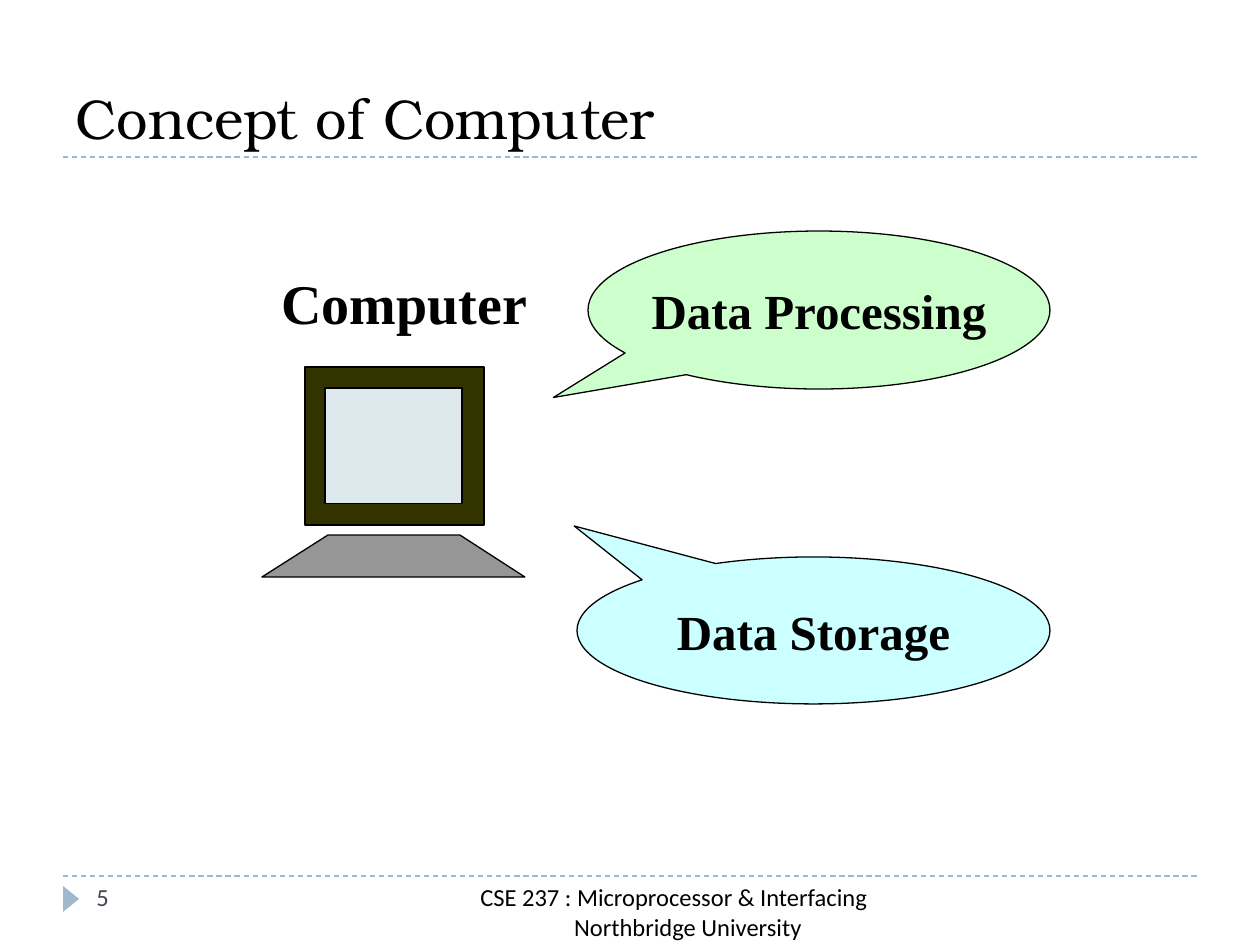
from pptx import Presentation, util as u
from pptx.dml.color import RGBColor
from pptx.enum import shapes, text
from pptx.enum.dml import MSO_LINE
from pptx.oxml.ns import qn
from lxml import etree

PX = 914400 // 126  # EMU per px
COLORS = {
    "black": "000000", "rule": "9FB8CD", "number": "464653",
    "case": "333300", "screen": "DDE9EC", "keyboard": "969696",
    "green": "CCFFCC", "cyan": "CCFFFF",
}
SERIF, SANS, TITLE = "Times New Roman", "Calibri", "TeX Gyre Bonum"
LEFT, CENTER = text.PP_ALIGN.LEFT, text.PP_ALIGN.CENTER
TOP, MIDDLE, BOTTOM = (text.MSO_ANCHOR.TOP, text.MSO_ANCHOR.MIDDLE,
                       text.MSO_ANCHOR.BOTTOM)
SHAPE = shapes.MSO_SHAPE

# Content: positions are (left, top, width, height) in px
RULES = [876, 157]
RULE_ENDS = (63, 1197)
MARKER = (58, 891, 26, 16)
LABELS = [  # lines, box, font, size, colour, bold, align, anchor
    (["Concept of Computer"], (63, 21, 1134, 136),
     TITLE, 32, "black", False, LEFT, BOTTOM),
    (["5"], (84, 876, 273, 50), SANS, 14, "number", False, LEFT, TOP),
    (["Computer"], (242, 262, 325, 79), SERIF, 32, "black", True, CENTER, TOP),
    (["CSE 237 : Microprocessor & Interfacing", "Northbridge University"],
     (252, 876, 844, 50), SANS, 14, "black", False, CENTER, TOP),
]
SECOND_LINE_INDENT = 28
MONITOR = [((305, 367, 179, 158), "case"), ((325, 388, 137, 116), "screen")]
KEYBOARD = [(262, 577), (328, 535), (460, 535), (525, 577)]
CALLOUTS = [  # text, box, pointer tip, fill
    ("Data Processing", (588, 231, 462, 158), (-0.575, 0.554), "green"),
    ("Data Storage", (577, 557, 473, 147), (-0.506, -0.711), "cyan"),
]

prs = Presentation()
prs.slide_width, prs.slide_height = u.Inches(10), u.Inches(7.5)
s = prs.slides.add_slide(prs.slide_layouts[6])


def rgb(name):
    return RGBColor.from_string(COLORS[name])


def emu(values):
    return [v * PX for v in values]


def paint(sp, fill, line="black"):
    sp.shadow.inherit = False
    sp.fill.solid()
    sp.fill.fore_color.rgb = rgb(fill)
    if line:
        sp.line.color.rgb = rgb(line)
        sp.line.width = u.Pt(0.75)
    else:
        sp.line.fill.background()


def add_shape(kind, box, fill, line="black"):
    sp = s.shapes.add_shape(kind, *emu(box))
    paint(sp, fill, line)
    return sp


def write(sp, lines, font, size, color, bold, align, anchor, wrap=True):
    tf = sp.text_frame
    tf.text = "\n".join(lines)
    tf.word_wrap = wrap
    tf.vertical_anchor = anchor
    for p in tf.paragraphs:
        p.alignment = align
        f = p.runs[0].font
        f.name, f.size, f.bold = font, u.Pt(size), bold
        f.color.rgb = rgb(color)


# Dashed rules and page marker
for y in RULES:
    ln = s.shapes.add_connector(shapes.MSO_CONNECTOR.STRAIGHT,
                                *emu((RULE_ENDS[0], y, RULE_ENDS[1], y)))
    ln.line.color.rgb = rgb("rule")
    ln.line.width = u.Pt(0.75)
    ln.line.dash_style = MSO_LINE.DASH
    etree.SubElement(ln._element.spPr, qn("a:effectLst"))
marker = add_shape(SHAPE.ISOSCELES_TRIANGLE, MARKER, "rule", None)
marker.rotation = 90

# Title, page number, computer label and footer
for lines, box, *style in LABELS:
    tb = s.shapes.add_textbox(*emu(box))
    write(tb, lines, *style)
    for p in tb.text_frame.paragraphs[1:]:
        p._p.get_or_add_pPr().set("marL", str(SECOND_LINE_INDENT * PX))

# Computer: monitor and keyboard
for box, fill in MONITOR:
    add_shape(SHAPE.RECTANGLE, box, fill)
fb = s.shapes.build_freeform(*KEYBOARD[0], scale=PX)
fb.add_line_segments(KEYBOARD[1:], close=True)
paint(fb.convert_to_shape(), "keyboard")

# Callouts
for label, box, tip, fill in CALLOUTS:
    sp = add_shape(SHAPE.OVAL_CALLOUT, box, fill)
    for i, value in enumerate(tip):
        sp.adjustments[i] = value
    write(sp, [label], SERIF, 28, "black", True, CENTER, MIDDLE, wrap=False)

prs.save("out.pptx")
